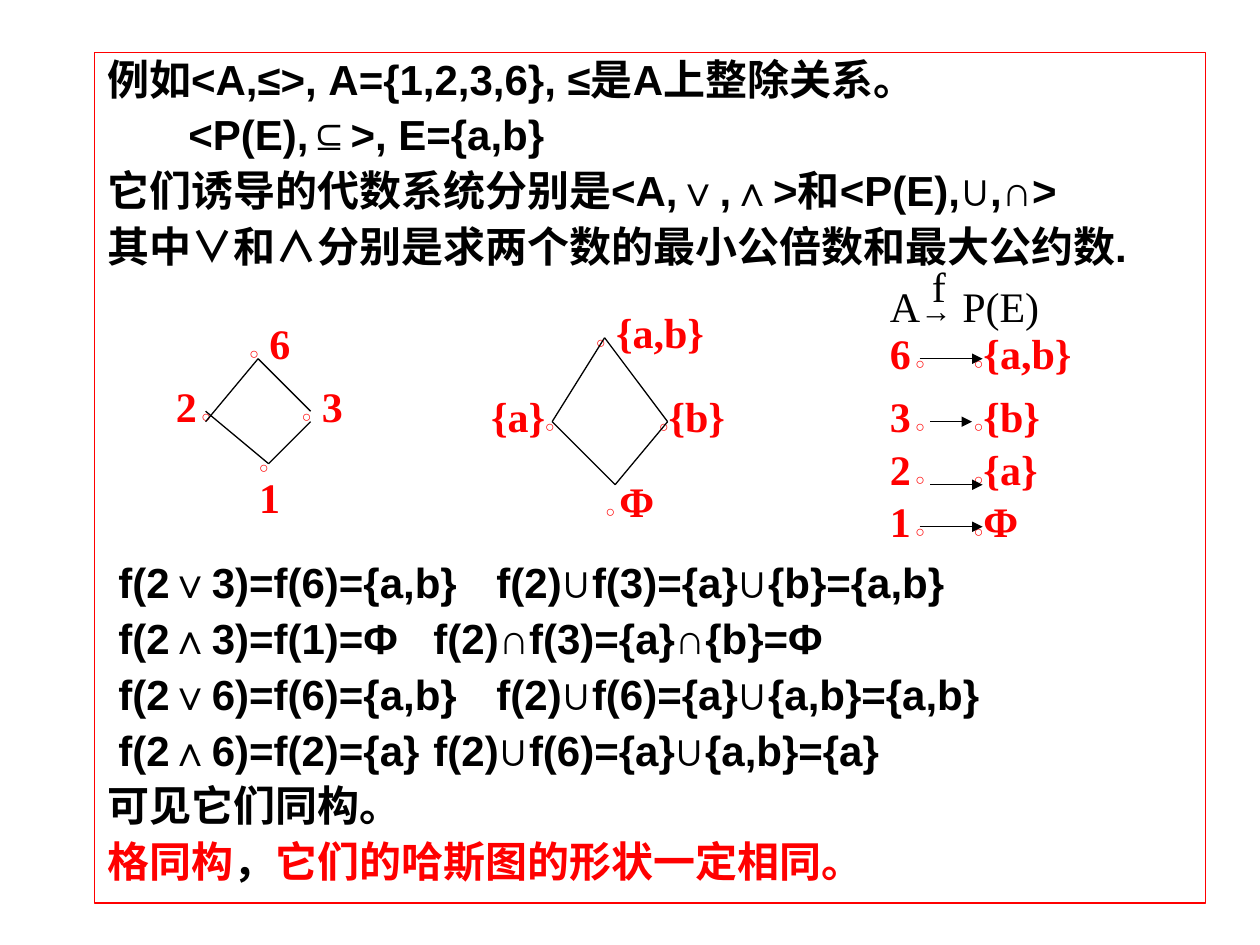
from typing import NamedTuple

import pptx
import pptx.dml.color
import pptx.enum.shapes
import pptx.enum.text
import pptx.oxml
import pptx.oxml.ns
import pptx.util

Pt = pptx.util.Pt
RED = "FF0000"
BLACK = "000000"
SERIF = "Times New Roman"
SANS = "Arial"


class Piece(NamedTuple):
    text: str
    size: float = 24
    font: str = SERIF
    color: str = RED
    bold: bool = True


class Label(NamedTuple):
    left: float
    top: float
    width: float
    words: list[Piece]


class Edge(NamedTuple):
    start: tuple[float, float]
    end: tuple[float, float]
    arrow: bool = False


class Row(NamedTuple):
    text: str
    indent: float = 0
    before: float = 6
    tab: float = 0


def paint(color: str) -> pptx.dml.color.RGBColor:
    return pptx.dml.color.RGBColor.from_string(color)


def style(font, piece: Piece) -> None:
    font.size = Pt(piece.size)
    font.name = piece.font
    font.bold = piece.bold
    font.color.rgb = paint(piece.color)


def split(text: str) -> list[Piece]:
    return [Piece(word, 9, SANS) if "○" in word else Piece(word)
            for word in text.split("|")]


def fill(para, words: list[Piece]) -> None:
    for piece in words:
        run = para.add_run()
        run.text = piece.text
        style(run.font, piece)


def add_label(slide, label: Label, pitch: float = 0.9) -> None:
    box = slide.shapes.add_textbox(
        Pt(label.left), Pt(label.top), Pt(label.width), Pt(33))
    box.text_frame.word_wrap = True
    para = box.text_frame.paragraphs[0]
    para.line_spacing = pitch
    fill(para, label.words)


def add_edge(slide, edge: Edge) -> None:
    line = slide.shapes.add_connector(
        pptx.enum.shapes.MSO_CONNECTOR.STRAIGHT,
        *(Pt(value) for value in edge.start + edge.end))
    line.line.color.rgb = paint(BLACK)
    line.line.width = Pt(0.75)
    names = pptx.oxml.ns.nsdecls("a")
    props = line._element.spPr
    if edge.arrow:
        tail = pptx.oxml.parse_xml(f'<a:tailEnd {names} type="triangle"/>')
        props.find(pptx.oxml.ns.qn("a:ln")).append(tail)
    props.append(pptx.oxml.parse_xml(f"<a:effectLst {names}/>"))


def add_row(para, row: Row) -> None:
    para.line_spacing = 0.9
    para.space_before = Pt(row.before)
    props = para._p.get_or_add_pPr()
    props.set("marL", str(Pt(row.indent)))
    props.set("indent", "0")
    names = pptx.oxml.ns.nsdecls("a")
    props.append(pptx.oxml.parse_xml(f"<a:buNone {names}/>"))
    if row.tab:
        props.append(pptx.oxml.parse_xml(
            f'<a:tabLst {names}><a:tab pos="{Pt(row.tab)}" algn="l"/></a:tabLst>'))
    fill(para, [Piece(word, 24, SANS, RED if row is ROWS[-1] and word != "，" else BLACK)
                for word in row.text.split("|")])


ROWS = [
    Row("例如<A,≤>, A={1,2,3,6}, ≤是A上整除关系。", before=0),
    Row("<P(E),⊆>, E={a,b}", 46.5),
    Row("它们诱导的代数系统分别是<A,∨,∧>和<P(E),∪,∩>"),
    Row("其中∨和∧分别是求两个数的最小公倍数和最大公约数."),
    Row("f(2∨3)=f(6)={a,b}\tf(2)∪f(3)={a}∪{b}={a,b}", 6.5, 166, 233),
    Row("f(2∧3)=f(1)=Φ\tf(2)∩f(3)={a}∩{b}=Φ", 6.5, tab=226),
    Row("f(2∨6)=f(6)={a,b}\tf(2)∪f(6)={a}∪{a,b}={a,b}", 6.5, tab=233),
    Row("f(2∧6)=f(2)={a}\tf(2)∪f(6)={a}∪{a,b}={a}", 6.5, tab=231.5),
    Row("可见它们同构。"),
    Row("格同构|，|它们的哈斯图的形状一定相同。"),
]

NODES = [
    Label(339, 271.5, 42, split("○ |Φ")),
    Label(369.5, 223, 60, split("○|{b}")),
    Label(273.5, 223, 54, split("{a}|○")),
    Label(333.5, 175, 84, split("○| {a,b}")),
    Label(141, 259.5, 30, split("○ |1")),
    Label(165.5, 217, 42, split("○| 3")),
    Label(93.5, 217, 42, split("2| ○")),
    Label(135.5, 181, 42, split("○| 6")),
]

EDGES = [
    Edge((345.5, 193), (315.5, 241)),
    Edge((345.5, 193), (381.5, 241)),
    Edge((315.5, 241), (351.5, 277)),
    Edge((381.5, 241), (351.5, 277)),
    Edge((177.5, 241), (153.5, 265)),
    Edge((117.5, 235), (153.5, 265)),
    Edge((147.5, 205), (117.5, 241)),
    Edge((147.5, 205), (177.5, 235)),
]

PAIRS = [
    ("6", "{a,b}", 187, Edge((525.5, 205), (561.5, 205), True)),
    ("3", "{b}", 223, Edge((531.5, 241), (555.5, 241), True)),
    ("2", "{a}", 253, Edge((531.5, 277), (561.5, 277), True)),
    ("1", "Φ", 283, Edge((525.5, 301), (561.5, 301), True)),
]

HEADS = [
    Label(525.5, 145.5, 30, [Piece("f", color=BLACK, bold=False)]),
    Label(501.5, 157, 108, [
        Piece("A", color=BLACK, bold=False),
        Piece("→", 18, SANS, BLACK),
        Piece(" P(E)", color=BLACK, bold=False)]),
]


def main() -> None:
    deck = pptx.Presentation()
    deck.slide_width, deck.slide_height = Pt(720), Pt(540)
    slide = deck.slides.add_slide(deck.slide_layouts[1])
    title = slide.shapes.title._element
    title.getparent().remove(title)

    body = slide.placeholders[1]
    body.left, body.top, body.width, body.height = Pt(54), Pt(30), Pt(635), Pt(486)
    body.line.color.rgb = paint(RED)
    body.line.width = Pt(0.75)
    frame = body.text_frame
    frame.auto_size = pptx.enum.text.MSO_AUTO_SIZE.NONE
    for index, row in enumerate(ROWS):
        add_row(frame.add_paragraph() if index else frame.paragraphs[0], row)

    for node in NODES:
        add_label(slide, node)
    for edge in EDGES:
        add_edge(slide, edge)
    for head in HEADS:
        add_label(slide, head, 1)
    for source, target, top, edge in PAIRS:
        add_label(slide, Label(501.5, top, 42, split(f"{source}| ○")))
        add_label(slide, Label(549.5, top, 78, split(f"○|{target}")))
        add_edge(slide, edge)
    deck.save("out.pptx")


if __name__ == "__main__":
    main()
